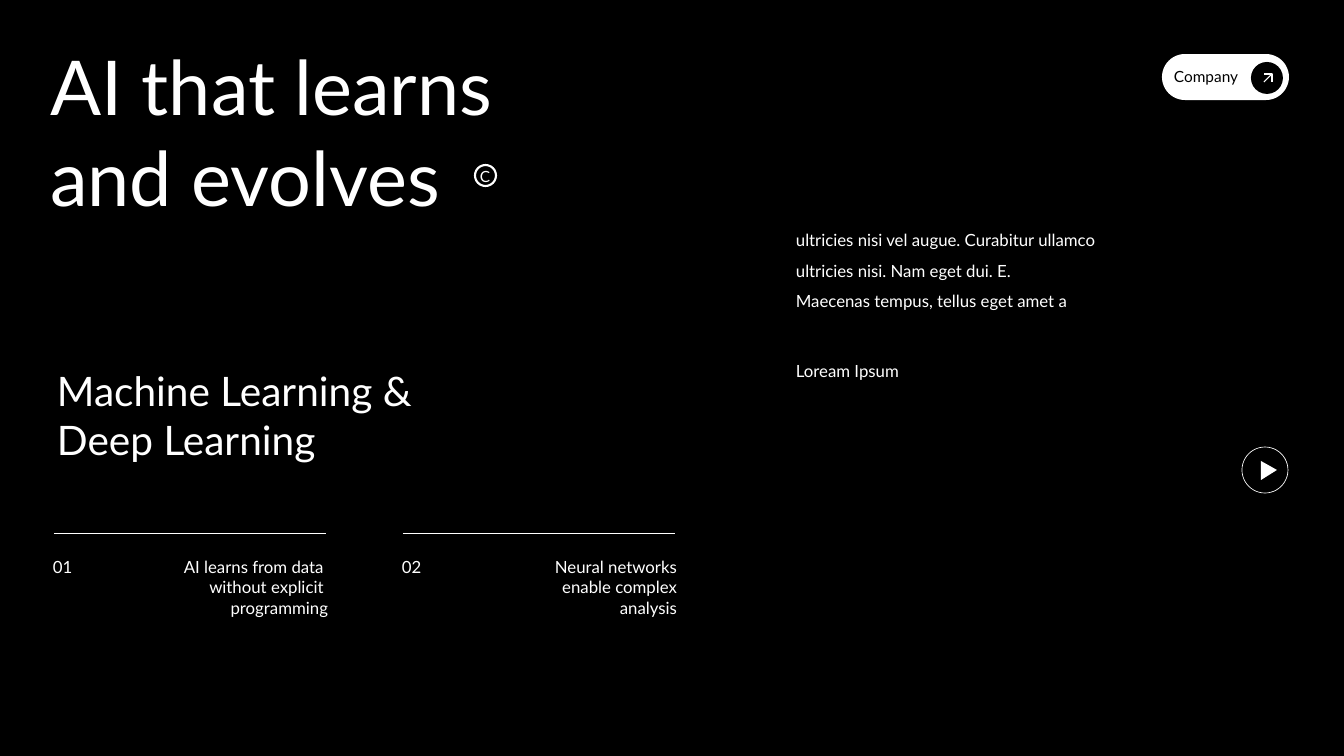
"""Build the "AI that learns and evolves" slide."""
from lxml import etree
from pptx import Presentation
from pptx import util as u
from pptx.dml.color import RGBColor
from pptx.enum import shapes, text
from pptx.oxml import ns

WIDTH, HEIGHT = 1344, 756
SCALE = 12192000 / WIDTH
BLACK, WHITE = "000000", "FFFFFF"
BODY = {"size": u.Pt(12)}


def px(*lengths):
    """Turn pixel lengths into EMU."""
    return [u.Emu(round(length * SCALE)) for length in lengths]


def colour(value):
    """Turn a hex string into a colour."""
    return RGBColor.from_string(value)


def assign(target, values):
    """Set attributes from a dict of format values."""
    for name, value in values.items():
        setattr(target, name, value)


def write(box, lines, font, shade=WHITE, wrap=True, **layout):
    """Fill a box with one paragraph per line."""
    frame = box.text_frame
    assign(frame, {"word_wrap": wrap, "auto_size": text.MSO_AUTO_SIZE.NONE,
                   "vertical_anchor": text.MSO_ANCHOR.TOP})
    for index, line in enumerate(lines):
        para = frame.add_paragraph() if index else frame.paragraphs[0]
        assign(para, {"alignment": text.PP_ALIGN.LEFT, **layout})
        span = para.add_run()
        span.text = line
        assign(span.font, {"name": "Lato", **font})
        span.font.color.rgb = colour(shade)


def label(parent, area, lines, font, **options):
    """Add a text box."""
    write(parent.add_textbox(*px(*area)), lines, font, **options)


def paint(shape, fill=None, line=None, weight=0):
    """Set the fill and outline of a shape."""
    shape.shadow.inherit = False
    if fill:
        shape.fill.solid()
        shape.fill.fore_color.rgb = colour(fill)
    else:
        shape.fill.background()
    if line:
        shape.line.color.rgb = colour(line)
        shape.line.width = u.Pt(weight)
    else:
        shape.line.fill.background()
    return shape


def preset(parent, kind, area, **style):
    """Add a painted preset shape."""
    return paint(parent.add_shape(kind, *px(*area)), **style)


def outline(parent, points, close, **style):
    """Add a painted freeform through the points."""
    start, *others = [px(*point) for point in points]
    builder = parent.build_freeform(*start, scale=1.0)
    builder.add_line_segments(others, close=close)
    paint(builder.convert_to_shape(), **style)


def rule(parent, start, end, weight):
    """Add a straight white line."""
    line = parent.add_connector(shapes.MSO_CONNECTOR.STRAIGHT, *px(*start, *end))
    line.line.color.rgb = colour(WHITE)
    line.line.width = u.Pt(weight)
    etree.SubElement(line._element.spPr, ns.qn("a:effectLst"))


def heading(page, left, top):
    """Place the title and its circled letter."""
    title = page.shapes.title
    assign(title, dict(zip(("left", "top", "width", "height"), px(left, top, 585, 194))))
    write(title, ["AI that learns", "and evolves"], {"size": u.Pt(54)})
    mark = page.shapes.add_group_shape().shapes
    preset(mark, shapes.MSO_SHAPE.OVAL, (left + 435, top + 130, 21, 21), line=WHITE, weight=1.5)
    label(mark, (left + 430, top + 127, 32, 29), ["C"], {"size": u.Pt(11)})


def company_button(page, left, top):
    """Place the pill button with its arrow."""
    button = page.shapes.add_group_shape().shapes
    pill = preset(button, shapes.MSO_SHAPE.ROUNDED_RECTANGLE, (left, top, 127, 46), fill=WHITE)
    pill.adjustments[0] = 0.5
    preset(button, shapes.MSO_SHAPE.OVAL, (left + 89, top + 8, 32, 32), fill=BLACK)
    near, far, high, low = left + 102, left + 110, top + 20, top + 28
    outline(button, [(far, low), (far, high), (near, high)], False, line=WHITE, weight=0.79)
    rule(button, (near, low), (far, high), 0.79)
    label(button, (left + 2, top + 8, 102, 30), ["Company"], {"size": u.Pt(11)}, shade=BLACK)


def description(page, left, top):
    """Place the paragraph and the caption below it."""
    lines = ["ultricies nisi vel augue. Curabitur ullamco",
             "ultricies nisi. Nam eget dui. E.",
             "Maecenas tempus, tellus eget amet a"]
    label(page.shapes, (left, top, 390, 99), lines, BODY, line_spacing=1.5)
    label(page.shapes, (left, top + 131, 133, 37), ["Loream Ipsum"], BODY, line_spacing=1.5)


def play_button(page, left, top):
    """Place the ringed play symbol."""
    button = page.shapes.add_group_shape().shapes
    preset(button, shapes.MSO_SHAPE.OVAL, (left, top, 46, 46), line=WHITE, weight=0.47)
    tip = [(left + 19, top + 14), (left + 35, top + 23), (left + 19, top + 33)]
    outline(button, tip, True, fill=WHITE)


def point(page, left, top, number, lines):
    """Place one numbered point under its line."""
    rule(page.shapes, (left, top), (left + 272, top), 0.5)
    label(page.shapes, (left - 11, top + 9, 133, 37), [number], BODY, line_spacing=1.5)
    label(page.shapes, (left + 98, top + 19, 186, 82), lines, BODY,
          alignment=text.PP_ALIGN.RIGHT)


def main():
    """Build and save the deck."""
    deck = Presentation()
    deck.slide_width, deck.slide_height = px(WIDTH, HEIGHT)
    page = deck.slides.add_slide(deck.slide_layouts[5])
    page.background.fill.solid()
    page.background.fill.fore_color.rgb = colour(BLACK)
    heading(page, 40, 35)
    company_button(page, 1162, 54)
    description(page, 786, 215)
    label(page.shapes, (47, 361, 672, 109), ["Machine Learning &", "Deep Learning"],
          {"size": u.Pt(29)})
    points = [["AI learns from data ", "without explicit ", "programming"],
              ["Neural networks enable complex analysis"]]
    for index, lines in enumerate(points):
        point(page, 54 + 349 * index, 533, f"{index + 1:02}", lines)
    play_button(page, 1242, 447)
    deck.save("out.pptx")


if __name__ == "__main__":
    main()
